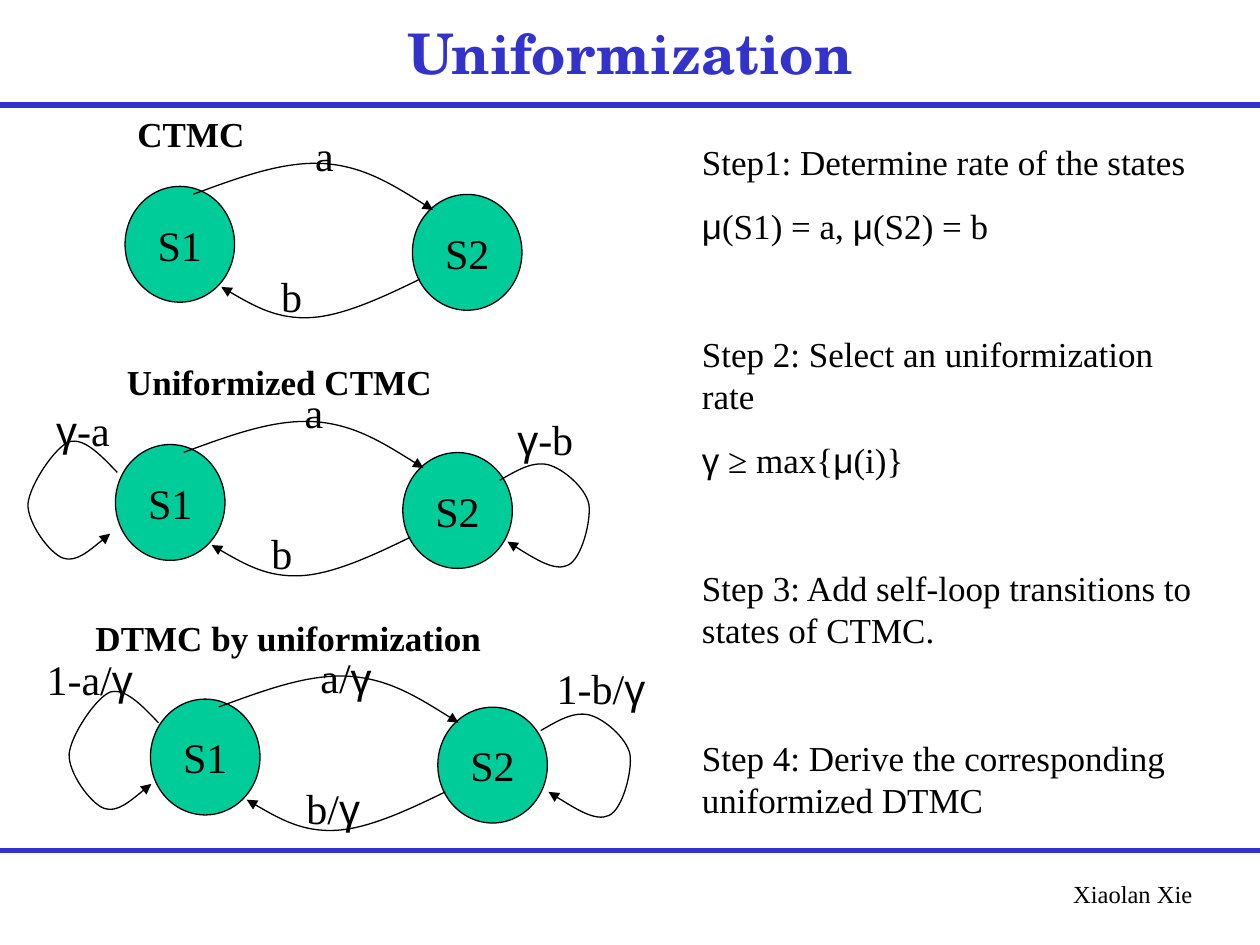
import itertools
from dataclasses import dataclass

import pptx
import pptx.dml.color
import pptx.enum.shapes
import pptx.enum.text
import pptx.oxml.ns
import pptx.util
from lxml import etree

Pt = pptx.util.Pt
RGB = pptx.dml.color.RGBColor
qn = pptx.oxml.ns.qn
ALIGN = pptx.enum.text.PP_ALIGN
ANCHOR = pptx.enum.text.MSO_ANCHOR


@dataclass(frozen=True)
class Theme:
    accent: RGB = RGB(0x33, 0x33, 0xCC)
    state: RGB = RGB(0x00, 0xCC, 0x99)
    ink: RGB = RGB(0, 0, 0)
    title_font: str = "TeX Gyre Schola"
    body_font: str = "Times New Roman"
    greek_font: str = "Arial"
    title: int = 32
    label: int = 24
    body: int = 20
    footer: int = 14
    rule: int = 3
    line: float = 0.75


T = Theme()

# Curves relative to the top left of S1: a start point, then Bezier triples
ARC_A = [(39, 4.5), (65, -5), (90, -14.5), (113.5, -13), (136.5, -11.5),
         (156, 1), (176, 13.5)]
ARC_B = [(55, 57.5), (71, 67), (87, 76), (106, 75), (124.5, 74),
         (147, 63.5), (168.5, 53)]
LOOP_1 = [(1, 16), (-8.5, 6), (-18, -4), (-26.5, -1.5), (-34.5, 1.5),
          (-49, 23), (-50, 34), (-50.5, 44.5), (-38, 62), (-30, 65),
          (-22.5, 67.5), (-13, 59), (-3, 51)]
LOOP_2 = [(219.5, 20.5), (229, 15), (238, 9.5), (247, 11.5), (255.5, 13.5),
          (268.5, 24.5), (270.5, 34), (272, 43), (266.5, 65.5), (258.5, 69),
          (251, 72.5), (237.5, 64), (224, 55.5)]


def write(p, text, size, bold=False):
    """Fill a paragraph, giving Greek letters their own font."""
    for greek, chars in itertools.groupby(text, lambda c: c in "γμ"):
        r = p.add_run()
        r.text = "".join(chars)
        r.font.name = T.greek_font if greek else T.body_font
        r.font.size = Pt(size)
        r.font.bold = bold
        r.font.color.rgb = T.ink


def add_text(s, x, y, w, h, text, size, bold=False, align=ALIGN.LEFT):
    sp = s.shapes.add_textbox(Pt(x), Pt(y), Pt(w), Pt(h))
    tf = sp.text_frame
    tf.word_wrap = True
    tf.paragraphs[0].alignment = align
    write(tf.paragraphs[0], text, size, bold)
    return tf


def add_rule(s, y, w):
    line = s.shapes.add_connector(pptx.enum.shapes.MSO_CONNECTOR.STRAIGHT,
                                  0, Pt(y), Pt(w), Pt(y))
    line.line.color.rgb = T.accent
    line.line.width = Pt(T.rule)
    etree.SubElement(line._element.spPr, qn("a:effectLst"))


def add_state(s, x, y, name):
    sp = s.shapes.add_shape(pptx.enum.shapes.MSO_SHAPE.OVAL,
                            Pt(x), Pt(y), Pt(62.6), Pt(66.2))
    sp.shadow.inherit = False
    sp.fill.solid()
    sp.fill.fore_color.rgb = T.state
    sp.line.color.rgb = T.ink
    sp.line.width = Pt(T.line)
    tf = sp.text_frame
    tf.word_wrap = False
    tf.vertical_anchor = ANCHOR.MIDDLE
    tf.paragraphs[0].alignment = ALIGN.CENTER
    write(tf.paragraphs[0], name, T.label)


def add_curve(s, x, y, points, arrow="tailEnd"):
    """Draw a Bezier path with an arrowhead at one end."""
    pts = [(Pt(x + dx), Pt(y + dy)) for dx, dy in points]
    fb = s.shapes.build_freeform(*pts[0])
    fb.add_line_segments(pts[1:], close=False)
    sp = fb.convert_to_shape()
    sp.shadow.inherit = False
    sp.fill.background()
    sp.line.color.rgb = T.ink
    sp.line.width = Pt(T.line)
    etree.SubElement(sp.line._get_or_add_ln(), qn("a:" + arrow), type="triangle")
    # Turn each three line segments into one cubic segment
    outline = next(sp._element.iter(qn("a:path")))
    segments = outline.findall(qn("a:lnTo"))
    for i in range(0, len(segments), 3):
        cubic = etree.SubElement(outline, qn("a:cubicBezTo"))
        for seg in segments[i:i + 3]:
            cubic.append(seg[0])
            outline.remove(seg)


def add_chain(s, x, y, heading, labels, loop_shift=None):
    """Draw a two-state chain whose S1 has its top left at x, y."""
    add_state(s, x, y, "S1")
    add_state(s, x + 164.2, y + 4.6, "S2")
    add_curve(s, x, y, ARC_A)
    add_curve(s, x, y, ARC_B, "headEnd")
    if loop_shift:
        dx, dy = loop_shift
        for loop in (LOOP_1, LOOP_2):
            add_curve(s, x + dx, y + dy, loop)
    text, dx, dy = heading
    add_text(s, x + dx, y + dy, 260, 32, text, T.body, bold=True)
    for text, dx, dy in labels:
        add_text(s, x + dx, y + dy, 76, 36, text, T.label)


def add_steps(s, x, y, w, h, steps):
    """List the steps, each with an optional formula below it."""
    tf = add_text(s, x, y, w, h, steps[0][0], T.body)
    for i, step in enumerate(steps):
        for j, text in enumerate(step):
            if i == j == 0:
                continue
            p = tf.add_paragraph()
            p.space_before = Pt(12.5 if j else 49)
            write(p, text, T.body)


def add_title(s, x, y, w, h, text):
    sp = s.shapes.title
    sp.left, sp.top, sp.width, sp.height = Pt(x), Pt(y), Pt(w), Pt(h)
    tf = sp.text_frame
    tf.text = text
    tf.vertical_anchor = ANCHOR.MIDDLE
    p = tf.paragraphs[0]
    p.alignment = ALIGN.CENTER
    font = p.runs[0].font
    font.name, font.size, font.bold = T.title_font, Pt(T.title), True
    font.color.rgb = T.accent


def main():
    prs = pptx.Presentation()
    prs.slide_width, prs.slide_height = Pt(720), Pt(540)
    s = prs.slides.add_slide(prs.slide_layouts[5])

    # Frame: title, rules and footer
    add_title(s, 54, 6, 612, 48, "Uniformization")
    for y in (60, 486):
        add_rule(s, y, 720)
    add_text(s, 526.5, 498.5, 162, 24.5, "Xiaolan Xie", T.footer,
             align=ALIGN.RIGHT)

    # Three chains, top to bottom
    add_chain(s, 71.5, 106.5, ("CTMC", 0, -46),
              [("a", 101.5, -36), ("b", 82, 44.5)])
    add_chain(s, 66, 254, ("Uniformized CTMC", -0.5, -51.5),
              [("a", 101, -36.5), ("b", 82, 44),
               ("γ-a", -41, -26.5), ("γ-b", 222.5, -21.5)], (0, 0))
    add_chain(s, 86, 399.5, ("DTMC by uniformization", -38.5, -50.5),
              [("a/γ", 90, -31), ("b/γ", 82, 44),
               ("1-a/γ", -66.5, -29.5), ("1-b/γ", 225, -24.5)], (3.5, -2.5))

    # Procedure
    add_steps(s, 394, 77, 306, 395, [
        ("Step1: Determine rate of the states", "μ(S1) = a, μ(S2) = b"),
        ("Step 2: Select an uniformization rate", "γ ≥ max{μ(i)}"),
        ("Step 3: Add self-loop transitions to states of CTMC.",),
        ("Step 4: Derive the corresponding uniformized DTMC",),
    ])
    prs.save("out.pptx")


if __name__ == "__main__":
    main()
